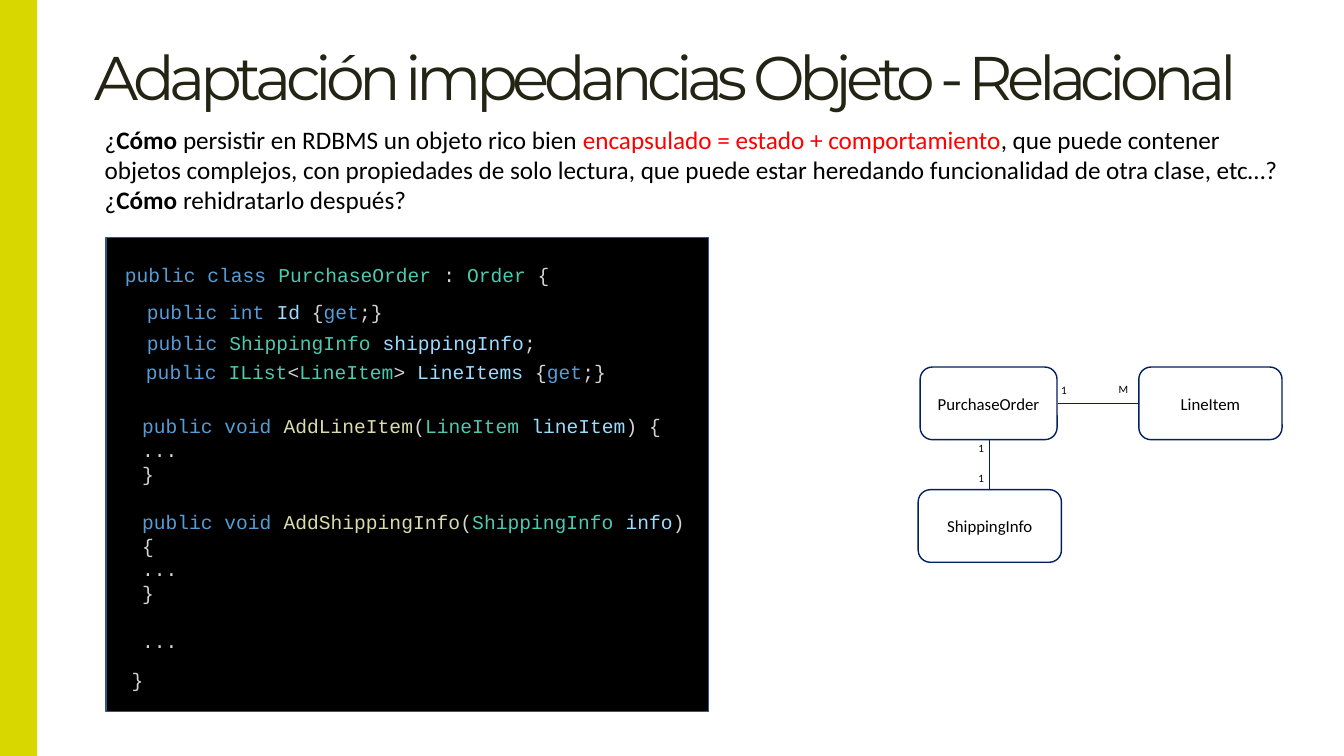
import pptx
import pptx.dml.color
import pptx.enum.shapes
import pptx.enum.text
import pptx.oxml
import pptx.oxml.ns
import pptx.util

Cm = pptx.util.Cm
Pt = pptx.util.Pt
Shape = pptx.enum.shapes.MSO_SHAPE
Anchor = pptx.enum.text.MSO_ANCHOR

COLOURS = {
    "band": "D8D800", "title": "242415", "text": "000000", "accent": "FF0000",
    "outline": "002060", "panel": "000000", "panel_line": "325491",
    "keyword": "569CD6", "type": "4EC9B0", "variable": "9CDCFE",
    "method": "DCDCAA", "plain": "D4D4D4",
}
CODE_SIZE = 14
CODE_LINE = Pt(17)
CHARACTER_WIDTH = 0.3  # width of one code character in cm

# Single code lines: left, top, coloured spans
CODE_LINES = [
    (2.9, 6.5, [("public class ", "keyword"), ("PurchaseOrder", "type"),
                (" : ", "plain"), ("Order", "type"), (" {", "plain")]),
    (3.45, 7.42, [("public int ", "keyword"), ("Id", "variable"), (" {", "plain"),
                  ("get", "keyword"), (";}", "plain")]),
    (3.45, 8.2, [("public ", "keyword"), ("ShippingInfo ", "type"),
                 ("shippingInfo", "variable"), (";", "plain")]),
    (3.43, 8.94, [("public ", "keyword"), ("IList", "type"), ("<", "plain"),
                  ("LineItem", "type"), ("> ", "plain"), ("LineItems", "variable"),
                  (" {", "plain"), ("get", "keyword"), (";}", "plain")]),
    (3.07, 16.71, [("}", "plain")]),
]
# Method name, parameter type, parameter name
METHODS = [("AddLineItem", "LineItem ", "lineItem"),
           ("AddShippingInfo", "ShippingInfo ", "info")]
ENTITIES = [("PurchaseOrder", 23.19, 9.25, 3.45),
            ("LineItem", 28.7, 9.25, 3.61),
            ("ShippingInfo", 23.14, 12.34, 3.61)]
RELATIONS = [(26.67, 10.16, 28.7, 10.16), (24.94, 11.07, 24.94, 12.34)]
MULTIPLICITIES = [("1", 26.54, 9.53), ("M", 27.99, 9.5),
                  ("1", 24.46, 11.0), ("1", 24.46, 11.76)]


def colour(name):
    return pptx.dml.color.RGBColor.from_string(COLOURS[name])


def add_box(page, left, top, width, height, wrap=True):
    box = page.shapes.add_textbox(Cm(left), Cm(top), Cm(width), Cm(height))
    box.text_frame.word_wrap = wrap
    return box.text_frame


def add_spans(para, spans):
    """Write (text, colour name) pairs as runs."""
    for text, name in spans:
        span = para.add_run()
        span.text = text
        span.font.color.rgb = colour(name)


def set_font(para, family, size):
    para.font.name = family
    para.font.size = Pt(size)


def add_shape(page, kind, left, top, width, height, fill=None, line=None):
    shape = page.shapes.add_shape(kind, Cm(left), Cm(top), Cm(width), Cm(height))
    shape.shadow.inherit = False
    if fill:
        shape.fill.solid()
        shape.fill.fore_color.rgb = colour(fill)
    else:
        shape.fill.background()
    if line:
        shape.line.color.rgb = colour(line)
        shape.line.width = Pt(1)
    else:
        shape.line.fill.background()
    return shape


def add_title(page, text):
    frame = add_box(page, 2.39, 0.81, 30.53, 2.18)
    frame.margin_left = 0
    frame.vertical_anchor = Anchor.BOTTOM
    para = frame.paragraphs[0]
    para.line_spacing = 0.9
    add_spans(para, [(text, "title")])
    set_font(para, "Montserrat", 44)
    # Tighten the letters by 4 pt
    para.runs[0].font._element.set("spc", "-400")


def add_question(page):
    para = add_box(page, 2.39, 3.0, 30.53, 2.57).paragraphs[0]
    add_spans(para, [
        ("¿", "text"),
        ("Cómo ", "text"),
        ("persistir en RDBMS un objeto rico bien ", "text"),
        ("encapsulado = estado + comportamiento", "accent"),
        (", que puede contener objetos complejos, con propiedades de solo lectura, "
         "que puede estar heredando funcionalidad de otra clase, etc…? ¿", "text"),
        ("Cómo ", "text"),
        ("rehidratarlo después?", "text"),
    ])
    set_font(para, "Calibri", 18)
    for span in para.runs:
        span.font.bold = span.text == "Cómo "


def add_entity(page, name, left, top, width):
    shape = add_shape(page, Shape.ROUNDED_RECTANGLE, left, top, width, 1.83,
                      line="outline")
    shape.text_frame.vertical_anchor = Anchor.MIDDLE
    para = shape.text_frame.paragraphs[0]
    para.alignment = pptx.enum.text.PP_ALIGN.CENTER
    add_spans(para, [(name, "text")])
    set_font(para, "Calibri", 12)


def add_relation(page, *ends):
    line = page.shapes.add_connector(pptx.enum.shapes.MSO_CONNECTOR.STRAIGHT,
                                     *[Cm(end) for end in ends])
    line.line.color.rgb = colour("outline")
    line.line.width = Pt(0.5)
    properties = line._element.find(pptx.oxml.ns.qn("p:spPr"))
    properties.append(pptx.oxml.parse_xml(
        "<a:effectLst %s/>" % pptx.oxml.ns.nsdecls("a")))


def add_multiplicity(page, text, left, top):
    frame = add_box(page, left, top, 0.46, 0.61)
    frame.margin_left, frame.margin_right = Cm(0.2), 0
    para = frame.paragraphs[0]
    add_spans(para, [(text, "text")])
    set_font(para, "Calibri", 8)


def fill_code(para, spans):
    para.line_spacing = CODE_LINE
    add_spans(para, spans)
    set_font(para, "Courier New", CODE_SIZE)


def add_code_line(page, left, top, spans):
    length = sum(len(text) for text, name in spans)
    frame = add_box(page, left, top, CHARACTER_WIDTH * length + 0.51, 0.86, wrap=False)
    fill_code(frame.paragraphs[0], spans)


def add_methods(page):
    frame = add_box(page, 3.33, 10.31, 14.4, 6.25)
    para = frame.paragraphs[0]
    for method, kind, variable in METHODS:
        fill_code(para, [("public void ", "keyword"), (method, "method"), ("(", "plain"),
                         (kind, "type"), (variable, "variable"), (") {", "plain")])
        for text in ("...", "}"):
            fill_code(frame.add_paragraph(), [(text, "plain")])
        para = frame.add_paragraph()
        para.space_before = CODE_LINE
    fill_code(para, [("...", "plain")])


def main():
    deck = pptx.Presentation()
    deck.slide_width, deck.slide_height = Cm(33.87), Cm(19.05)
    page = deck.slides.add_slide(deck.slide_layouts[6])

    # Heading and question
    add_title(page, "Adaptación impedancias Objeto - Relacional")
    add_shape(page, Shape.RECTANGLE, 0, 0, 0.94, 19.05, fill="band")
    add_question(page)

    # Entity diagram
    for entity in ENTITIES:
        add_entity(page, *entity)
    for relation in RELATIONS:
        add_relation(page, *relation)
    for multiplicity in MULTIPLICITIES:
        add_multiplicity(page, *multiplicity)

    # Code panel
    add_shape(page, Shape.RECTANGLE, 2.67, 5.99, 15.19, 11.94,
              fill="panel", line="panel_line")
    for code_line in CODE_LINES:
        add_code_line(page, *code_line)
    add_methods(page)

    deck.save("out.pptx")


if __name__ == "__main__":
    main()
